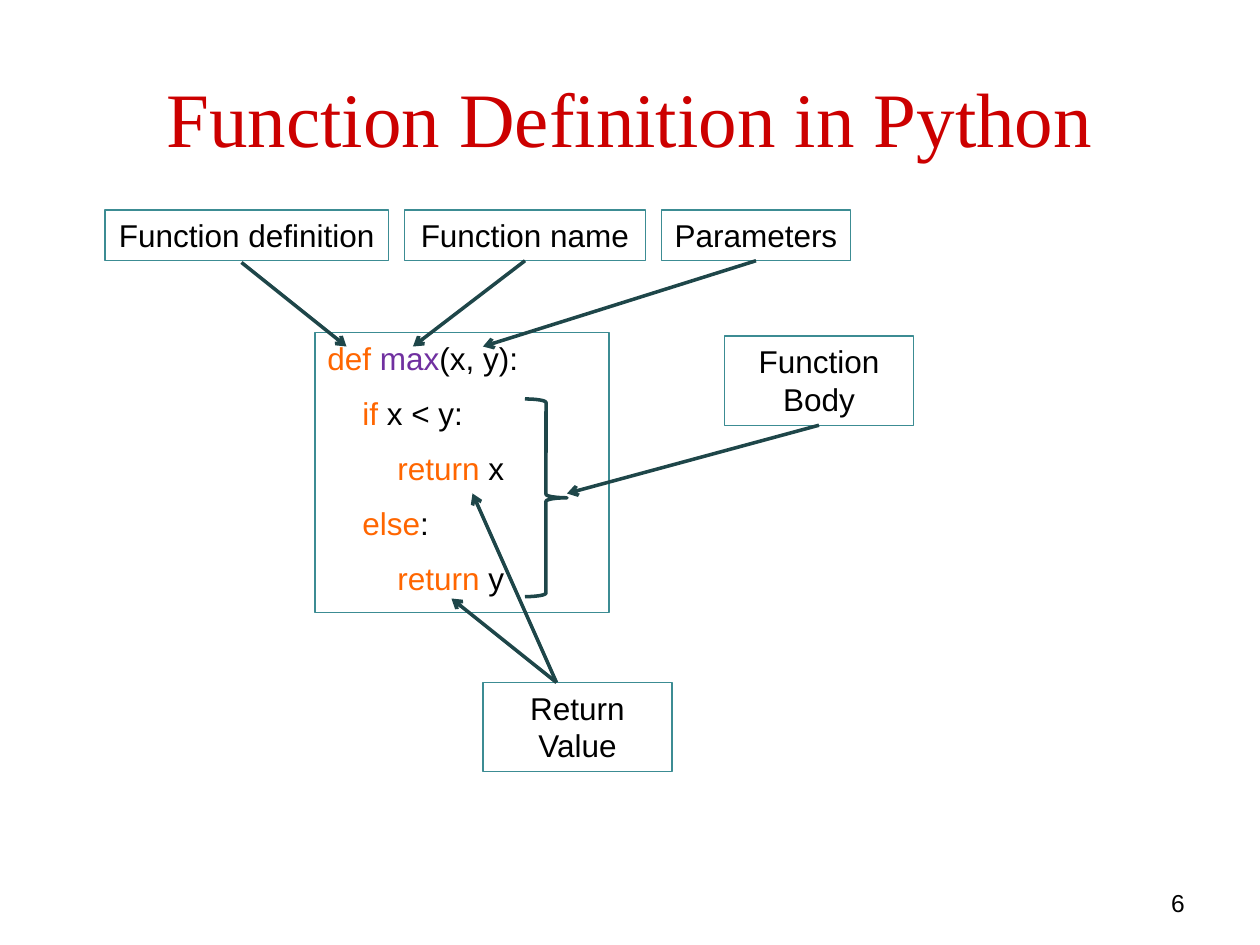
from lxml import etree
from pptx import Presentation
from pptx.dml.color import RGBColor
from pptx.enum import shapes, text
from pptx.oxml import ns
from pptx.util import Pt

RED = RGBColor(0xCC, 0x00, 0x00)
BLACK = RGBColor(0x00, 0x00, 0x00)
ORANGE = RGBColor(0xFF, 0x66, 0x00)
PURPLE = RGBColor(0x70, 0x30, 0xA0)
TEAL = RGBColor(0x3C, 0x8C, 0x93)
DARK_TEAL = RGBColor(0x1E, 0x46, 0x49)

TITLE = "Function Definition in Python"
PAGE_NUMBER = "6"
INDENT = 20  # points per code level

# (indent level, [(words, colour), ...])
CODE = [
    (0, [("def ", ORANGE), ("max", PURPLE), ("(x, y):", BLACK)]),
    (1, [("if", ORANGE), (" x < y:", BLACK)]),
    (2, [("return", ORANGE), (" x", BLACK)]),
    (1, [("else", ORANGE), (":", BLACK)]),
    (2, [("return", ORANGE), (" y", BLACK)]),
]
CODE_BOX = (180, 190, 168, 160)
BODY_BRACE = (300, 228, 24, 113)

# (words, box, arrow start, arrow ends)
LABELS = [
    ("Function definition", (60, 120, 162, 29), (138, 150), [(198, 198)]),
    ("Function name", (231, 120, 138, 29), (300, 149), [(236, 198)]),
    ("Parameters", (378, 120, 108, 29), (432, 149), [(276, 198)]),
    ("Function Body", (414, 192, 108, 51), (468, 243), [(324, 282)]),
    ("Return Value", (276, 390, 108, 51), (318, 390), [(258, 342), (270, 282)]),
]


def points(values):
    """Turn plain numbers into lengths in points."""
    return [Pt(value) for value in values]


def write(frame, lines, size=18, font="Arial", align=text.PP_ALIGN.LEFT,
          anchor=text.MSO_ANCHOR.TOP, gap=0):
    """Fill a text frame with lines of (indent level, coloured runs)."""
    frame.word_wrap = True
    frame.vertical_anchor = anchor
    for number, (level, runs) in enumerate(lines):
        line = frame.add_paragraph() if number else frame.paragraphs[0]
        line.alignment = align
        line.space_before = Pt(gap if number else 0)
        if level:
            properties = line._p.get_or_add_pPr()
            properties.set("marL", str(Pt(level * INDENT)))
            properties.set("indent", "0")
        for words, colour in runs:
            run = line.add_run()
            run.text = words
            run.font.size = Pt(size)
            run.font.name = font
            run.font.color.rgb = colour


def add_outline(slide, kind, box, colour, width):
    """Add an unfilled preset shape."""
    outline = slide.shapes.add_shape(kind, *points(box))
    outline.shadow.inherit = False
    outline.fill.background()
    outline.line.color.rgb = colour
    outline.line.width = Pt(width)
    return outline


def add_arrow(slide, start, end):
    """Add a straight line with an open arrowhead at its end."""
    arrow = slide.shapes.add_connector(
        shapes.MSO_CONNECTOR.STRAIGHT, *points(start + end))
    arrow.line.color.rgb = DARK_TEAL
    arrow.line.width = Pt(2)
    etree.SubElement(arrow.line._get_or_add_ln(), ns.qn("a:tailEnd"), type="arrow")
    etree.SubElement(arrow._element.spPr, ns.qn("a:effectLst"))


def build():
    """Build the slide and save it."""
    deck = Presentation()
    deck.slide_width, deck.slide_height = points((720, 540))
    slide = deck.slides.add_slide(deck.slide_layouts[5])

    title = slide.shapes.title
    title.left, title.top, title.width, title.height = points((36, 21.6, 648, 90))
    write(title.text_frame, [(0, [(TITLE, RED)])], size=44, font="Times New Roman",
          align=text.PP_ALIGN.CENTER, anchor=text.MSO_ANCHOR.MIDDLE)

    page = slide.shapes.add_textbox(*points((516, 504, 168, 18)))
    write(page.text_frame, [(0, [(PAGE_NUMBER, BLACK)])], size=14,
          align=text.PP_ALIGN.RIGHT)

    kinds = shapes.MSO_SHAPE
    code = add_outline(slide, kinds.RECTANGLE, CODE_BOX, TEAL, 0.75)
    write(code.text_frame, CODE, gap=9.9)
    add_outline(slide, kinds.RIGHT_BRACE, BODY_BRACE, DARK_TEAL, 2)

    for words, box, start, ends in LABELS:
        label = add_outline(slide, kinds.RECTANGLE, box, TEAL, 0.75)
        write(label.text_frame, [(0, [(words, BLACK)])], align=text.PP_ALIGN.CENTER)
        for end in ends:
            add_arrow(slide, start, end)

    deck.save("out.pptx")


build()
